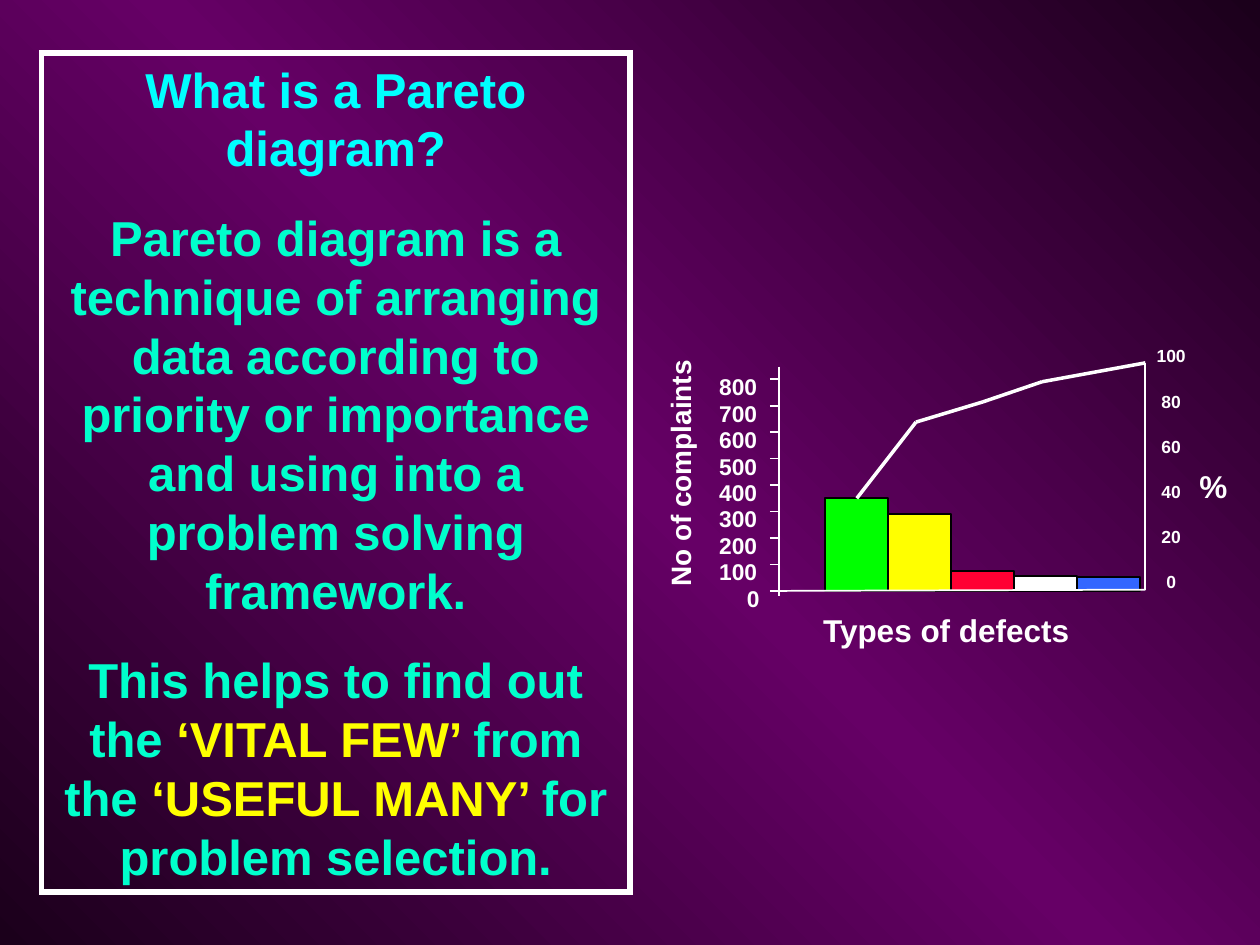
from copy import deepcopy

from pptx import Presentation
from pptx.dml.color import RGBColor
from pptx.enum.shapes import MSO_CONNECTOR, MSO_SHAPE
from pptx.enum.text import MSO_ANCHOR, MSO_AUTO_SIZE, PP_ALIGN
from pptx.oxml.ns import qn
from pptx.util import Inches, Pt
from lxml.etree import SubElement

DARK = RGBColor(0x1B, 0x00, 0x1B)
PURPLE = RGBColor(0x66, 0x00, 0x66)
WHITE = RGBColor(0xFF, 0xFF, 0xFF)
BLACK = RGBColor(0x00, 0x00, 0x00)
GREEN = RGBColor(0x00, 0xFF, 0x00)
YELLOW = RGBColor(0xFF, 0xFF, 0x00)
RED = RGBColor(0xFF, 0x00, 0x33)
BLUE = RGBColor(0x33, 0x66, 0xFF)
CYAN = RGBColor(0x00, 0xFF, 0xFF)
AQUA = RGBColor(0x00, 0xFF, 0xCC)

presentation = Presentation()
presentation.slide_width = Inches(10)
presentation.slide_height = Inches(7.5)
slide = presentation.slides.add_slide(presentation.slide_layouts[6])

# Grid of 100 columns by 75 rows
COLUMN = presentation.slide_width / 100
ROW = presentation.slide_height / 75


def add_line(shapes, start, end, weight=1):
    line = shapes.add_connector(
        MSO_CONNECTOR.STRAIGHT, int(start[0] * COLUMN), int(start[1] * ROW),
        int(end[0] * COLUMN), int(end[1] * ROW))
    line.line.color.rgb = WHITE
    line.line.width = Pt(weight)
    SubElement(line._element.spPr, qn("a:effectLst"))
    return line


def add_label(shapes, text, box, size, alignment=PP_ALIGN.LEFT, wrap=False):
    left, top, width, height = box
    label = shapes.add_textbox(int(left * COLUMN), int(top * ROW),
                               int(width * COLUMN), int(height * ROW))
    label.text_frame.text = text
    label.text_frame.word_wrap = wrap
    label.text_frame.auto_size = MSO_AUTO_SIZE.SHAPE_TO_FIT_TEXT
    for paragraph in label.text_frame.paragraphs:
        paragraph.alignment = alignment
        for run in paragraph.runs:
            run.font.name = "Arial"
            run.font.size = Pt(size)
            run.font.bold = True
            run.font.color.rgb = WHITE
    return label


# Background: dark corners with a purple diagonal
background = slide.background.fill
background.gradient()
background.gradient_angle = 45
for stop, color, position in zip(background.gradient_stops, (DARK, PURPLE), (0, 0.5)):
    stop.color.rgb = color
    stop.position = position
stop_list = next(slide.element.iter(qn("a:gsLst")))
last_stop = deepcopy(stop_list[0])
last_stop.set("pos", "100000")
stop_list.append(last_stop)

# Pareto diagram
diagram = slide.shapes.add_group_shape().shapes
AXIS_LEFT, AXIS_RIGHT, BASELINE = 61.8, 90.9, 46.9
TICK_LEFT = AXIS_LEFT - 0.7
ROWS_PER_HUNDRED = 2.1
BAR_LEFT, BAR_WIDTH = 65.5, 5

# Bars: complaints for each type of defect
complaints = [(350, GREEN), (290, YELLOW), (75, RED), (57, WHITE), (52, BLUE)]
bars = []
for index, (count, color) in enumerate(complaints):
    height = count / 100 * ROWS_PER_HUNDRED
    bar = diagram.add_shape(
        MSO_SHAPE.RECTANGLE,
        int((BAR_LEFT + index * BAR_WIDTH) * COLUMN), int((BASELINE - height) * ROW),
        int(BAR_WIDTH * COLUMN), int(height * ROW))
    bar.shadow.inherit = False
    bar.fill.solid()
    bar.fill.fore_color.rgb = color
    bar.line.color.rgb = BLACK
    bar.line.width = Pt(1)
    bars.append(bar)

# Axes
add_line(diagram, (AXIS_LEFT, 29.1), (AXIS_LEFT, 47.3))
add_line(diagram, (AXIS_LEFT, BASELINE), (AXIS_RIGHT, 46.8))
add_line(diagram, (AXIS_RIGHT, 28.8), (AXIS_RIGHT, 46.8))

# Ticks and numbers on the left axis
for hundred in range(9):
    row = BASELINE - hundred * ROWS_PER_HUNDRED
    add_line(diagram, (TICK_LEFT, row), (AXIS_LEFT, row))
    number = str(hundred * 100)
    width = 1.7 + 1.1 * len(number)
    add_label(diagram, number, (TICK_LEFT - width, row - 1, width, 3.2), 13)

# Percentages on the right axis
percentages = add_label(diagram, "\n".join(str(n) for n in range(100, -1, -20)),
                        (90.8, 25, 4.3, 22.5), 10, PP_ALIGN.CENTER)
for paragraph in percentages.text_frame.paragraphs:
    paragraph.line_spacing = 2.15
add_label(diagram, "%", (94.2, 36.6, 4.2, 4), 18)

# Cumulative line, starting on top of the first bar
curve = [(68, 39.7), (72.7, 33.5), (78, 31.9), (82.7, 30.3), (AXIS_RIGHT, 28.8)]
segments = [add_line(diagram, start, end, 2) for start, end in zip(curve, curve[1:])]
segments[0].begin_connect(bars[0], 0)

# Axis titles
vertical_title = add_label(diagram, "No of complaints", (44, 35.7, 20, 3.7), 16)
vertical_title.rotation = 270
add_label(diagram, "Types of defects", (62.7, 48, 24.8, 4), 18, PP_ALIGN.CENTER, True)

# Framed explanation
frame = slide.shapes.add_shape(MSO_SHAPE.RECTANGLE, int(3.3 * COLUMN), int(4.2 * ROW),
                               int(46.7 * COLUMN), int(66.6 * ROW))
frame.shadow.inherit = False
frame.fill.background()
frame.line.color.rgb = WHITE
frame.line.width = Pt(3)
SubElement(frame._element.spPr.find(qn("a:ln")), qn("a:miter"), lim="800000")
text_frame = frame.text_frame
text_frame.word_wrap = True
text_frame.auto_size = MSO_AUTO_SIZE.SHAPE_TO_FIT_TEXT
text_frame.vertical_anchor = MSO_ANCHOR.TOP
explanation = [
    [("What is a Pareto diagram?", CYAN)],
    [("Pareto diagram is a technique of arranging data according to priority or "
      "importance and using into a problem solving framework.", AQUA)],
    [("This helps to find out the ", AQUA), ("‘VITAL FEW’ ", YELLOW), ("from the ", AQUA),
     ("‘USEFUL MANY’ ", YELLOW), ("for problem selection.", AQUA)],
]
for index, parts in enumerate(explanation):
    paragraph = text_frame.add_paragraph() if index else text_frame.paragraphs[0]
    paragraph.alignment = PP_ALIGN.CENTER
    paragraph.space_before = Pt(17.5 if index else 0)
    for text, color in parts:
        run = paragraph.add_run()
        run.text = text
        run.font.name = "Arial"
        run.font.size = Pt(28)
        run.font.bold = True
        run.font.color.rgb = color

presentation.save("out.pptx")
